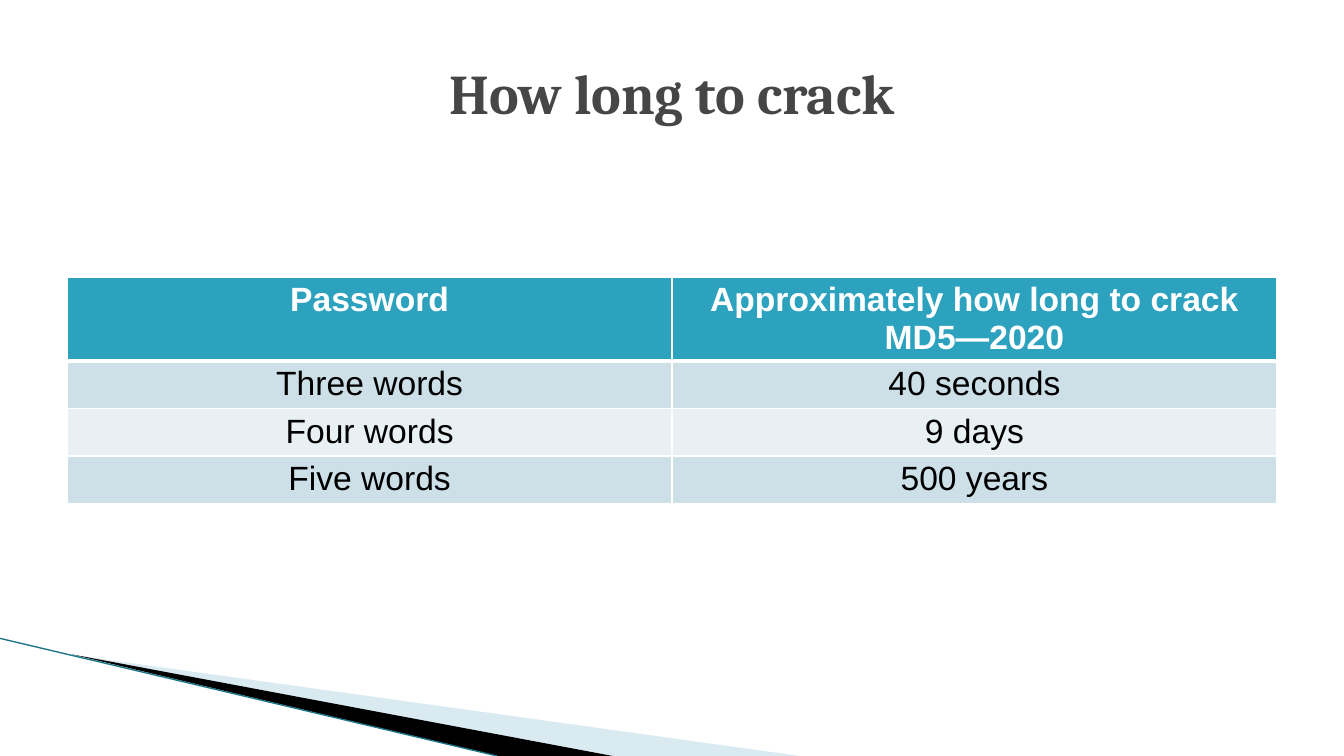
"""Build the password cracking time slide."""
import dataclasses

import lxml.etree
import pptx
import pptx.dml.color
import pptx.enum.shapes
import pptx.enum.text
import pptx.oxml
import pptx.oxml.ns
import pptx.util

SLIDE_WIDTH = pptx.util.Inches(13.33)
SLIDE_HEIGHT = pptx.util.Inches(7.5)
GRID_COLUMNS = 20
GRID_ROWS = 90
COLORS = {
    "title": "464646",
    "header": "2DA2BF",
    "odd": "CDE0E8",
    "even": "E8F0F4",
    "white": "FFFFFF",
    "black": "000000",
    "pale": "A0CBDC",
    "edge": "1B7587",
}
TABLE_ROWS = [
    ("Password", "Approximately how long to crack MD5—2020"),
    ("Three words", "40 seconds"),
    ("Four words", "9 days"),
    ("Five words", "500 years"),
]
HEADER_HEIGHT = 10
BODY_HEIGHT = 5.65


@dataclasses.dataclass(frozen=True)
class Wedge:
    """A filled outline with corners in grid columns and rows."""

    corners: tuple[tuple[float, float], ...]
    color: str
    opacity: int = 100


WEDGES = [
    Wedge(((1.1, 78), (11.9, 90), (9.12, 90)), "pale", 40),
    Wedge(((1.07, 77.9), (9.12, 90), (7.4, 90)), "black"),
]


def across(columns: float) -> int:
    """Convert grid columns to a length."""
    return round(SLIDE_WIDTH * columns / GRID_COLUMNS)


def down(rows: float) -> int:
    """Convert grid rows to a length."""
    return round(SLIDE_HEIGHT * rows / GRID_ROWS)


def rgb(name: str) -> pptx.dml.color.RGBColor:
    """Look up a named colour."""
    return pptx.dml.color.RGBColor.from_string(COLORS[name])


def style_paragraph(paragraph, typeface: str, size: int, color: str, bold: bool) -> None:
    """Centre a paragraph and set its font."""
    paragraph.alignment = pptx.enum.text.PP_ALIGN.CENTER
    paragraph.font.name = typeface
    paragraph.font.size = pptx.util.Pt(size)
    paragraph.font.color.rgb = rgb(color)
    paragraph.font.bold = bold


def draw_wedge(slide, wedge: Wedge) -> None:
    """Draw one wedge of the corner decoration."""
    points = [(across(column), down(row)) for column, row in wedge.corners]
    builder = slide.shapes.build_freeform(*points[0])
    builder.add_line_segments(points[1:], close=True)
    shape = builder.convert_to_shape()
    shape.shadow.inherit = False
    shape.fill.solid()
    shape.fill.fore_color.rgb = rgb(wedge.color)
    shape.line.fill.background()
    if wedge.opacity < 100:
        color = shape.fill._xPr.find(".//" + pptx.oxml.ns.qn("a:srgbClr"))
        alpha = lxml.etree.SubElement(color, pptx.oxml.ns.qn("a:alpha"))
        alpha.set("val", str(wedge.opacity * 1000))


def draw_edge(slide) -> None:
    """Draw the thin line along the lower edge of the wedges."""
    edge = slide.shapes.add_connector(
        pptx.enum.shapes.MSO_CONNECTOR.STRAIGHT, 0, down(76), across(7.4), down(90)
    )
    edge.line.color.rgb = rgb("edge")
    edge.line.width = pptx.util.Pt(0.95)
    lxml.etree.SubElement(edge._element.spPr, pptx.oxml.ns.qn("a:effectLst"))


def set_borders(cell, top: float, bottom: float) -> None:
    """Give a cell white borders, with widths in points."""
    properties = cell._tc.get_or_add_tcPr()
    widths = {"lnL": 1, "lnR": 1, "lnT": top, "lnB": bottom}
    for index, (side, width) in enumerate(widths.items()):
        border = pptx.oxml.parse_xml(
            f'<a:{side} {pptx.oxml.ns.nsdecls("a")} w="{pptx.util.Pt(width)}">'
            f'<a:solidFill><a:srgbClr val="{COLORS["white"]}"/></a:solidFill>'
            f"</a:{side}>"
        )
        properties.insert(index, border)


def fill_cell(cell, text: str, row: int) -> None:
    """Write and format one table cell."""
    is_header = row == 0
    cell.text = text
    cell.margin_top = pptx.util.Inches(0.04)
    cell.margin_bottom = pptx.util.Inches(0.02)
    style_paragraph(
        cell.text_frame.paragraphs[0],
        "Arial",
        24,
        "white" if is_header else "black",
        is_header,
    )
    cell.fill.solid()
    cell.fill.fore_color.rgb = rgb("header" if is_header else "odd" if row % 2 else "even")
    set_borders(cell, 3 if row == 1 else 1, 3 if is_header else 1)


def draw_table(slide) -> None:
    """Draw the table of cracking times."""
    heights = [HEADER_HEIGHT] + [BODY_HEIGHT] * (len(TABLE_ROWS) - 1)
    table = slide.shapes.add_table(
        len(TABLE_ROWS), 2, across(1), down(33), across(18), down(sum(heights))
    ).table
    for row, texts in enumerate(TABLE_ROWS):
        table.rows[row].height = down(heights[row])
        for column, text in enumerate(texts):
            fill_cell(table.cell(row, column), text, row)


def draw_title(slide) -> None:
    """Place and format the slide title."""
    title = slide.shapes.title
    title.left, title.top = across(1), down(5)
    title.width, title.height = across(18), down(12)
    title.text_frame.text = "How long to crack"
    title.text_frame.vertical_anchor = pptx.enum.text.MSO_ANCHOR.MIDDLE
    style_paragraph(title.text_frame.paragraphs[0], "Cambria", 40, "title", True)


def main() -> None:
    """Create and save the presentation."""
    presentation = pptx.Presentation()
    presentation.slide_width = SLIDE_WIDTH
    presentation.slide_height = SLIDE_HEIGHT
    slide = presentation.slides.add_slide(presentation.slide_layouts.get_by_name("Title Only"))
    for wedge in WEDGES:
        draw_wedge(slide, wedge)
    draw_edge(slide)
    draw_table(slide)
    draw_title(slide)
    presentation.save("out.pptx")


if __name__ == "__main__":
    main()
